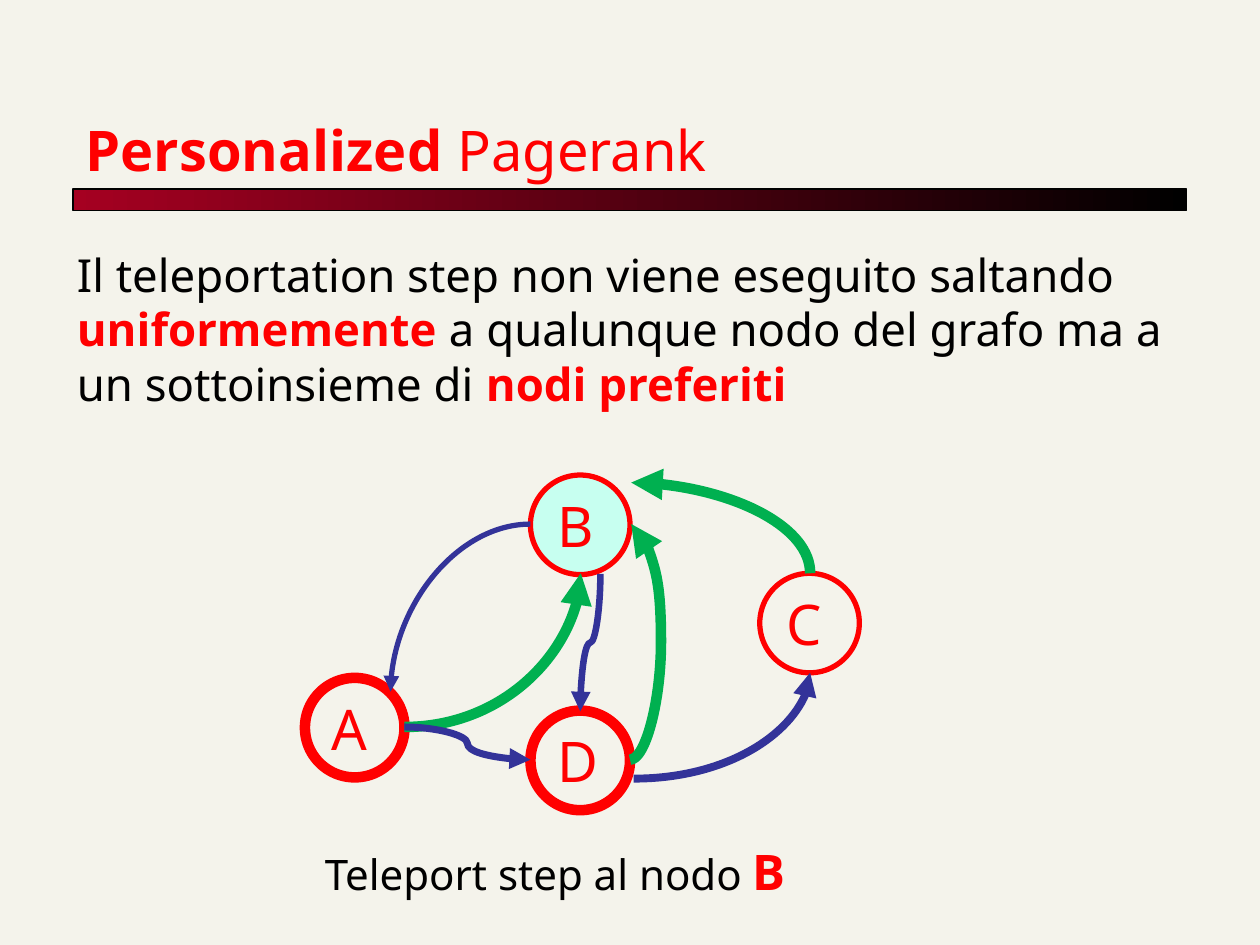
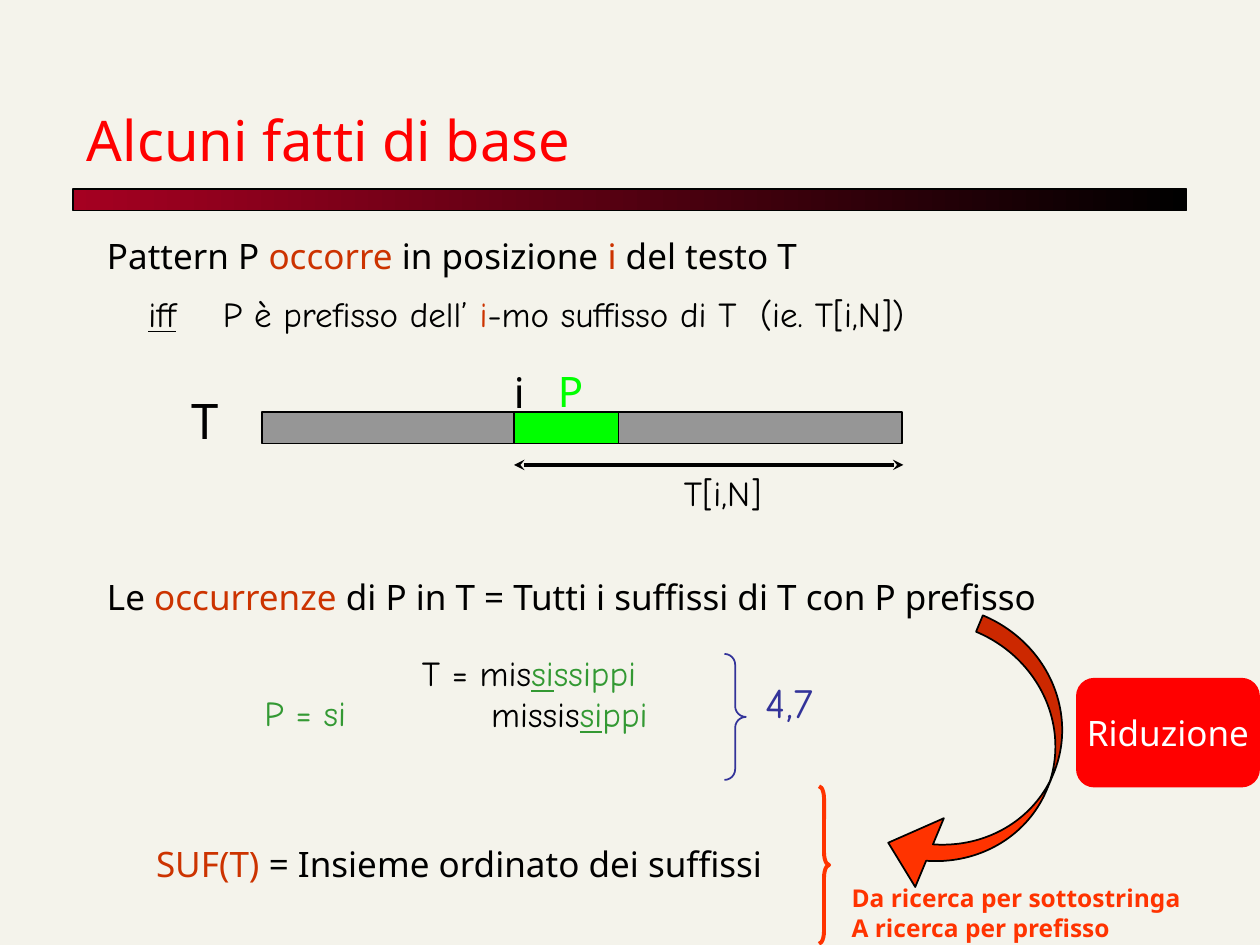
from lxml import etree
from pptx import Presentation
from pptx.dml.color import RGBColor
from pptx.enum.shapes import MSO_CONNECTOR, MSO_SHAPE
from pptx.enum.text import MSO_ANCHOR, MSO_AUTO_SIZE, PP_ALIGN
from pptx.oxml.ns import qn
from pptx.util import Inches, Pt

LEFT, CENTER = PP_ALIGN.LEFT, PP_ALIGN.CENTER
BOTTOM, MIDDLE = MSO_ANCHOR.BOTTOM, MSO_ANCHOR.MIDDLE
CURVE, STRAIGHT = MSO_CONNECTOR.CURVE, MSO_CONNECTOR.STRAIGHT
OVAL, RECT, ROUND = MSO_SHAPE.OVAL, MSO_SHAPE.RECTANGLE, MSO_SHAPE.ROUNDED_RECTANGLE
BRACE, BEND = MSO_SHAPE.RIGHT_BRACE, MSO_SHAPE.CURVED_LEFT_ARROW
NO_FIT, GROW = MSO_AUTO_SIZE.NONE, MSO_AUTO_SIZE.SHAPE_TO_FIT_TEXT


class Theme:
    paper, ink, white = "F4F3EB", "000000", "FFFFFF"
    wine, red, rust, flame = "A50021", "FF0000", "CC3300", "FF3300"
    blue, leaf, green, lime = "333399", "00B050", "339933", "00FF00"
    mint, gray = "C7FFF0", "969696"
    sans, hand = "Noto Sans", "Comic Neue"
    title, body, big, mid, text, note = 32, 26, 28, 24, 20, 14


def write(frame, rows, look, **form):
    """Fill a frame; each row is a list of (text, changes to the look)."""
    for n, row in enumerate(rows):
        para = frame.paragraphs[0] if n == 0 else frame.add_paragraph()
        for key, value in {"alignment": LEFT, **form}.items():
            setattr(para, key, value)
        for words, change in row:
            run = para.add_run()
            run.text = words
            for key, value in {"name": Theme.sans, **look, **change}.items():
                if key == "color":
                    run.font.color.rgb = RGBColor.from_string(value)
                else:
                    setattr(run.font, key, Pt(value) if key == "size" else value)


def draw(slide, kind, box, fill=None, edge=None, width=1, adj=()):
    """Add a flat preset shape."""
    shape = slide.shapes.add_shape(kind, *map(Inches, box))
    shape.shadow.inherit = False
    if fill:
        shape.fill.solid()
        shape.fill.fore_color.rgb = RGBColor.from_string(fill)
    else:
        shape.fill.background()
    if edge:
        shape.line.color.rgb = RGBColor.from_string(edge)
        shape.line.width = Pt(width)
    else:
        shape.line.fill.background()
    for n, value in enumerate(adj):
        shape.adjustments[n] = value
    return shape


deck = Presentation()
deck.slide_width, deck.slide_height = Inches(10), Inches(7.5)
rank = deck.slides.add_slide(deck.slide_layouts[1])
facts = deck.slides.add_slide(deck.slide_layouts[5])

# Master: paper and gradient band
master = deck.slide_master
master.background.fill.solid()
master.background.fill.fore_color.rgb = RGBColor.from_string(Theme.paper)
band = draw(rank, RECT, (0.58, 1.5, 8.84, 0.17), edge=Theme.ink, width=0.75)
band.fill.gradient()
band.fill.gradient_angle = 0
for stop, color in zip(band.fill.gradient_stops, (Theme.wine, Theme.ink)):
    stop.color.rgb = RGBColor.from_string(color)
master.shapes.element.append(band.element)

# Titles and body
plain = {}
strong = {"color": Theme.red, "bold": True}
holders = [
    (rank.shapes.title, (0.58, 0.42, 8.83, 1.08), BOTTOM, Theme.title, Theme.red,
     [("Personalized ", strong), ("Pagerank", plain)]),
    (facts.shapes.title, (0.59, 0.84, 8.5, 0.58), BOTTOM, Theme.title, Theme.red,
     [("Alcuni fatti di base", plain)]),
    (rank.placeholders[1], (0.51, 1.91, 8.9, 1.83), MSO_ANCHOR.TOP, Theme.body, Theme.ink,
     [("Il teleportation step non viene eseguito saltando ", plain),
      ("uniformemente", strong),
      (" a qualunque nodo del grafo ma a un sottoinsieme di ", plain),
      ("nodi preferiti", strong)]),
]
for holder, box, anchor, size, color, row in holders:
    for key, value in zip(("left", "top", "width", "height"), box):
        setattr(holder, key, Inches(value))
    frame = holder.text_frame
    frame.auto_size, frame.vertical_anchor = NO_FIT, anchor
    write(frame, [row], {"size": size, "color": color})
props = rank.placeholders[1].text_frame.paragraphs[0]._p.get_or_add_pPr()
props.set("marL", "0")
props.set("indent", "0")
etree.SubElement(props, qn("a:buNone"))

# Graph nodes
side = 0.79
nodes = [("A", 2.42, 5.38, None, 6), ("B", 4.21, 3.77, Theme.mint, 3),
         ("D", 4.21, 5.64, None, 6), ("C", 6.03, 4.55, None, 3)]
for name, x, y, fill, width in nodes:
    node = draw(rank, OVAL, (x, y, side, side), fill, Theme.red, width)
    frame = node.text_frame
    frame.word_wrap, frame.vertical_anchor = False, MIDDLE
    write(frame, [[(name, plain)]], {"size": Theme.title, "color": Theme.red})

# Links: slide, kind, ends, color, width, arrowheads, preset, bend, turn
head, tail = "headEnd", "tailEnd"
arc, wave = "curvedConnector2", "curvedConnector3"
links = [
    (rank, CURVE, (3.21, 5.77, 4.61, 4.55), Theme.leaf, 6, {tail: "triangle"}, arc, None, 0),
    (rank, CURVE, (3.21, 5.77, 4.21, 6.03), Theme.blue, 4, {tail: "triangle"}, wave, 0.5, 0),
    (rank, CURVE, (5, 6.03, 5.01, 4.16), Theme.leaf, 6, {tail: "triangle"}, wave, 25, 0),
    (rank, CURVE, (4.14, 5.02, 5.23, 5.18), Theme.blue, 3.75, {tail: "triangle"}, wave, 0.5, 90),
    (rank, CURVE, (5.01, 3.83, 6.43, 4.55), Theme.leaf, 6, {head: "triangle"}, arc, None, 0),
    (rank, CURVE, (4.21, 4.16, 3.1, 5.49), Theme.blue, 3, {tail: "triangle"}, arc, None, 0),
    (rank, CURVE, (5.03, 6.18, 6.43, 5.34), Theme.blue, 4.5, {tail: "triangle"}, arc, None, 0),
    (facts, STRAIGHT, (4.08, 3.69, 7.17, 3.69), Theme.ink, 2,
     {head: "stealth", tail: "stealth"}, "line", None, 0),
]
for slide, kind, ends, color, width, tips, preset, bend, turn in links:
    link = slide.shapes.add_connector(kind, *map(Inches, ends))
    link.line.color.rgb = RGBColor.from_string(color)
    link.line.width = Pt(width)
    props = link.element.spPr
    for tip, form in tips.items():
        etree.SubElement(props.find(qn("a:ln")), qn("a:" + tip), type=form)
    etree.SubElement(props, qn("a:effectLst"))
    geom = props.find(qn("a:prstGeom"))
    geom.set("prst", preset)
    if bend:
        guide = etree.SubElement(geom.find(qn("a:avLst")), qn("a:gd"), name="adj1")
        guide.set("fmla", f"val {round(bend * 100000)}")
    if turn:
        props.find(qn("a:xfrm")).set("rot", str(turn * 60000))

# Text bar, braces and bent arrow
draw(facts, RECT, (2.08, 3.27, 5.08, 0.25), Theme.gray, Theme.ink)
draw(facts, RECT, (4.08, 3.27, 0.83, 0.25), Theme.lime, Theme.ink)
draw(facts, BRACE, (5.75, 5.19, 0.17, 1), None, Theme.blue, 1, (0.5, 0.5))
draw(facts, BRACE, (6.5, 6.24, 0.08, 1.25), None, Theme.flame, 2.25, (1.25, 0.5))
bend = draw(facts, BEND, (7.33, 4.99, 1, 2.25), Theme.flame, Theme.ink, 1,
            (0.141, 0.591, 0.333))
bend.rotation = 22.6

# Badge
badge = draw(facts, ROUND, (8.54, 5.38, 1.46, 0.87), Theme.red, adj=(0.167,))
frame = badge.text_frame
frame.word_wrap, frame.vertical_anchor = False, MIDDLE
write(frame, [[("Riduzione", plain)]], {"size": Theme.text, "color": Theme.white},
      alignment=CENTER)

# Text boxes: slide, box, wrap, look, paragraph format, rows
base = {"size": Theme.text, "color": Theme.ink}
pen = {**base, "name": Theme.hand}
rust = {"color": Theme.rust}
green = {"color": Theme.green}
match = {**green, "underline": True}
gap = {"space_before": Pt(4)}
notes = [
    (rank, (1.98, 6.63, 7.44, 0.9), True, {**base, "size": Theme.mid}, {"space_before": Pt(5)},
     [[("Teleport step al nodo ", plain), ("B", {**strong, "size": Theme.big})]]),
    (facts, (0.75, 1.85, 6.42, 0.42), True, base, {**gap, "line_spacing": 0.9},
     [[("Pattern P ", plain), ("occorre", rust), (" in posizione ", plain),
       ("i", rust), (" del testo T", plain)]]),
    (facts, (1.08, 2.27, 7, 0.44), True, pen, gap,
     [[("iff", {"underline": True}), ("\tP è prefisso dell’ ", plain), ("i", rust),
       ("-mo suffisso di T  (ie. T[i,N])", plain)]]),
    (facts, (1.42, 3.05, 0.47, 0.57), False, {**base, "size": Theme.big}, {},
     [[("T", plain)]]),
    (facts, (3.98, 2.86, 0.3, 0.51), False, {**base, "size": Theme.mid}, {},
     [[("i", plain)]]),
    (facts, (4.33, 2.85, 0.39, 0.51), False, {"size": Theme.mid, "color": Theme.lime}, {},
     [[("P", plain)]]),
    (facts, (5.33, 3.69, 0.98, 0.43), False, pen, {}, [[("T[i,N]", plain)]]),
    (facts, (0.75, 4.52, 8.92, 0.5), True, base, gap,
     [[("Le ", plain), ("occurrenze", rust),
       (" di P in T = Tutti i suffissi di T con P prefisso", plain)]]),
    (facts, (2.25, 5.19, 5.33, 0.7), True, pen, {"space_before": Pt(2), "line_spacing": 0.9},
     [[("T = mis", plain), ("si", match), ("ssippi", green)],
      [("missis", plain), ("si", match), ("ppi", green)]]),
    (facts, (2, 5.44, 0.87, 0.43), False, {**pen, **green}, {}, [[("P = si", plain)]]),
    (facts, (5.98, 5.32, 0.7, 0.5), False,
     {**pen, "size": Theme.mid, "color": Theme.blue}, {}, [[("4,7", plain)]]),
    (facts, (1.14, 6.64, 5.36, 0.59), True, base, gap,
     [[("SUF(T) ", rust), ("= Insieme ordinato dei suffissi", plain)]]),
    (facts, (6.66, 6.96, 2.92, 0.57), True,
     {"size": Theme.note, "color": Theme.flame, "bold": True}, {},
     [[("Da ricerca per sottostringa", plain)], [("A ricerca per prefisso", plain)]]),
]
# Left margins, keyed by the first words of a paragraph
margins = {"Teleport": 0.5, "T = mis": 1, "missis": 1.55}
for slide, box, wrap, look, form, rows in notes:
    frame = slide.shapes.add_textbox(*map(Inches, box)).text_frame
    frame.word_wrap = wrap
    frame.auto_size = NO_FIT if wrap else GROW
    write(frame, rows, look, **form)
    for para in frame.paragraphs:
        props = para._p.get_or_add_pPr()
        for start, margin in margins.items():
            if para.text.startswith(start):
                props.set("marL", str(Inches(margin)))
        if "\t" in para.text:
            tabs = etree.SubElement(props, qn("a:tabLst"))
            etree.SubElement(tabs, qn("a:tab"), pos=str(Inches(0.59)), algn="l")
        if para.text.startswith("T = mis"):
            para.line_spacing = 0.8

deck.save("out.pptx")
